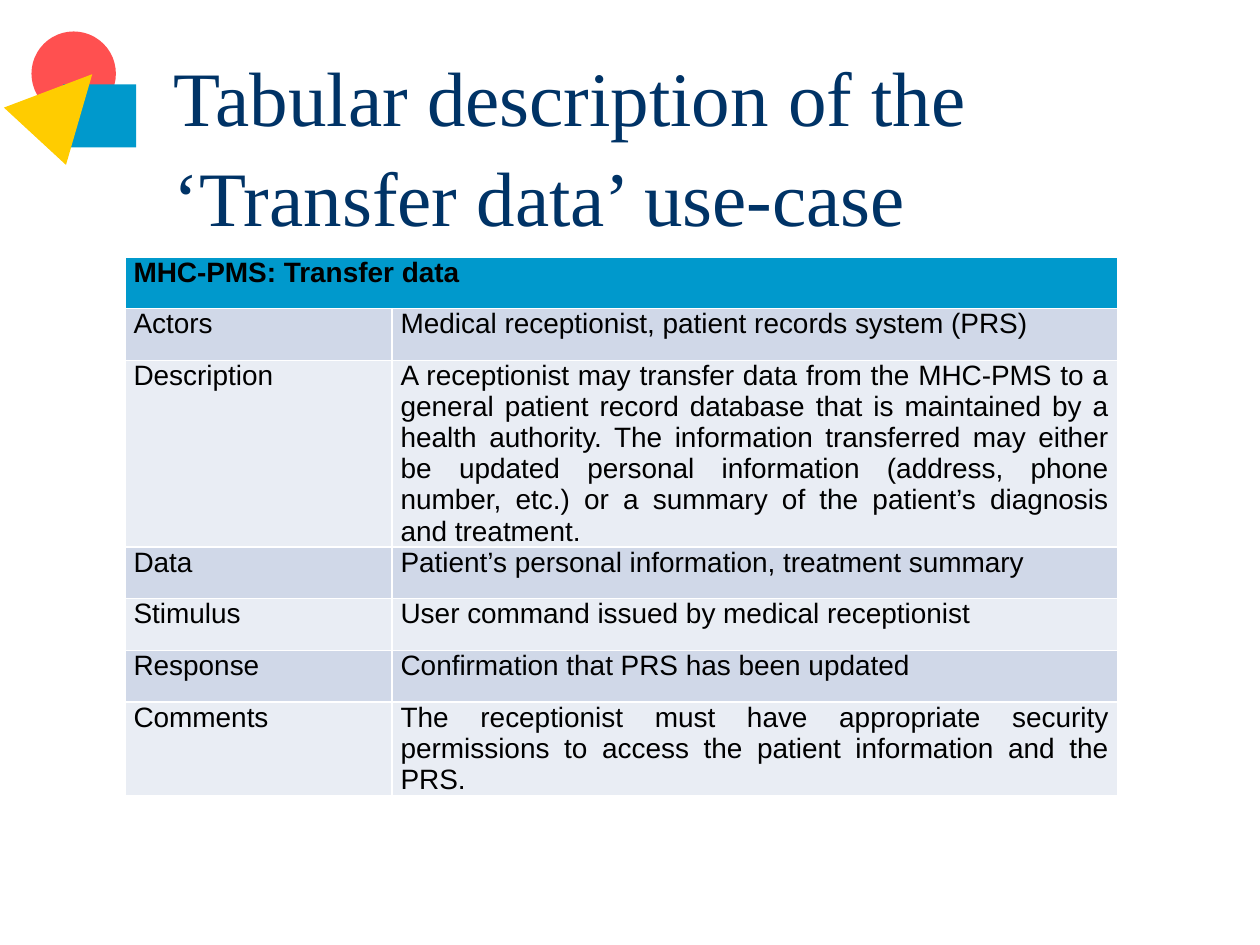
from dataclasses import dataclass

from pptx import Presentation
from pptx.dml.color import RGBColor
from pptx.enum.shapes import MSO_SHAPE as Shape
from pptx.enum.text import MSO_ANCHOR as Anchor, MSO_AUTO_SIZE as Fit, PP_ALIGN as Align
from pptx.util import Inches, Pt

RED = RGBColor(0xFF, 0x50, 0x50)
BLUE = RGBColor(0x00, 0x99, 0xCC)
YELLOW = RGBColor(0xFF, 0xCC, 0x00)
NAVY = RGBColor(0x00, 0x33, 0x66)
BLACK = RGBColor(0x00, 0x00, 0x00)
BANDS = (RGBColor(0xE9, 0xED, 0xF4), RGBColor(0xD0, 0xD8, 0xE8))

TITLE = "Tabular description of the ‘Transfer data’ use-case"
HEAD = "MHC-PMS: Transfer data"
COLS = (2.12, 5.76)
ROW = 0.41


@dataclass
class Mark:
    kind: Shape
    left: float
    top: float
    width: float
    height: float
    color: RGBColor
    turn: float = 0


@dataclass
class Field:
    label: str
    text: str


MARKS = (
    Mark(Shape.OVAL, 0.25, 0.25, 0.67, 0.67, RED),
    Mark(Shape.RECTANGLE, 0.5, 0.67, 0.58, 0.5, BLUE),
    Mark(Shape.ISOSCELES_TRIANGLE, 0.17, 0.5, 0.67, 0.67, YELLOW, 42.7),
)

FIELDS = (
    Field("Actors", "Medical receptionist, patient records system (PRS)"),
    Field("Description",
          "A receptionist may transfer data from the MHC-PMS to a general patient "
          "record database that is maintained by a health authority. The information "
          "transferred may either be updated personal information (address, phone "
          "number, etc.) or a summary of the patient’s diagnosis and treatment."),
    Field("Data", "Patient’s personal information, treatment summary"),
    Field("Stimulus", "User command issued by medical receptionist"),
    Field("Response", "Confirmation that PRS has been updated"),
    Field("Comments",
          "The receptionist must have appropriate security permissions to access "
          "the patient information and the PRS."),
)


def draw_mark(slide, mark: Mark) -> None:
    shape = slide.shapes.add_shape(
        mark.kind, Inches(mark.left), Inches(mark.top),
        Inches(mark.width), Inches(mark.height))
    shape.rotation = mark.turn
    shape.shadow.inherit = False
    shape.fill.solid()
    shape.fill.fore_color.rgb = mark.color
    shape.line.fill.background()


def set_title(slide) -> None:
    title = slide.shapes.title
    title.left, title.top = Inches(1.28), Inches(0.5)
    title.width, title.height = Inches(8.5), Inches(1.25)
    frame = title.text_frame
    frame.text = TITLE
    frame.word_wrap = True
    frame.auto_size = Fit.NONE
    frame.vertical_anchor = Anchor.MIDDLE
    para = frame.paragraphs[0]
    para.alignment = Align.LEFT
    para.line_spacing = 1.08
    font = para.runs[0].font
    font.name, font.size, font.color.rgb = "Times New Roman", Pt(44), NAVY


def fill_cell(cell, text: str, color: RGBColor, bold: bool = False) -> None:
    cell.fill.solid()
    cell.fill.fore_color.rgb = color
    cell.margin_left = cell.margin_right = Inches(0.07)
    cell.margin_top = cell.margin_bottom = 0
    cell.text_frame.text = text
    para = cell.text_frame.paragraphs[0]
    para.alignment = Align.JUSTIFY
    font = para.runs[0].font
    font.name, font.size, font.bold = "Arial", Pt(16), bold
    font.color.rgb = BLACK


def draw_table(slide) -> None:
    count = len(FIELDS) + 1
    table = slide.shapes.add_table(
        count, len(COLS), Inches(0.99), Inches(2.04),
        Inches(sum(COLS)), Inches(count * ROW)).table
    for col, width in zip(table.columns, COLS):
        col.width = Inches(width)
    for row in table.rows:
        row.height = Inches(ROW)

    table.cell(0, 0).merge(table.cell(0, 1))
    fill_cell(table.cell(0, 0), HEAD, BLUE, bold=True)
    for num, field in enumerate(FIELDS, start=1):
        for col, text in enumerate((field.label, field.text)):
            fill_cell(table.cell(num, col), text, BANDS[num % 2])


def main() -> None:
    deck = Presentation()
    deck.slide_width, deck.slide_height = Inches(10), Inches(7.5)
    slide = deck.slides.add_slide(deck.slide_layouts[5])
    for mark in MARKS:
        draw_mark(slide, mark)
    set_title(slide)
    draw_table(slide)
    deck.save("out.pptx")


if __name__ == "__main__":
    main()
